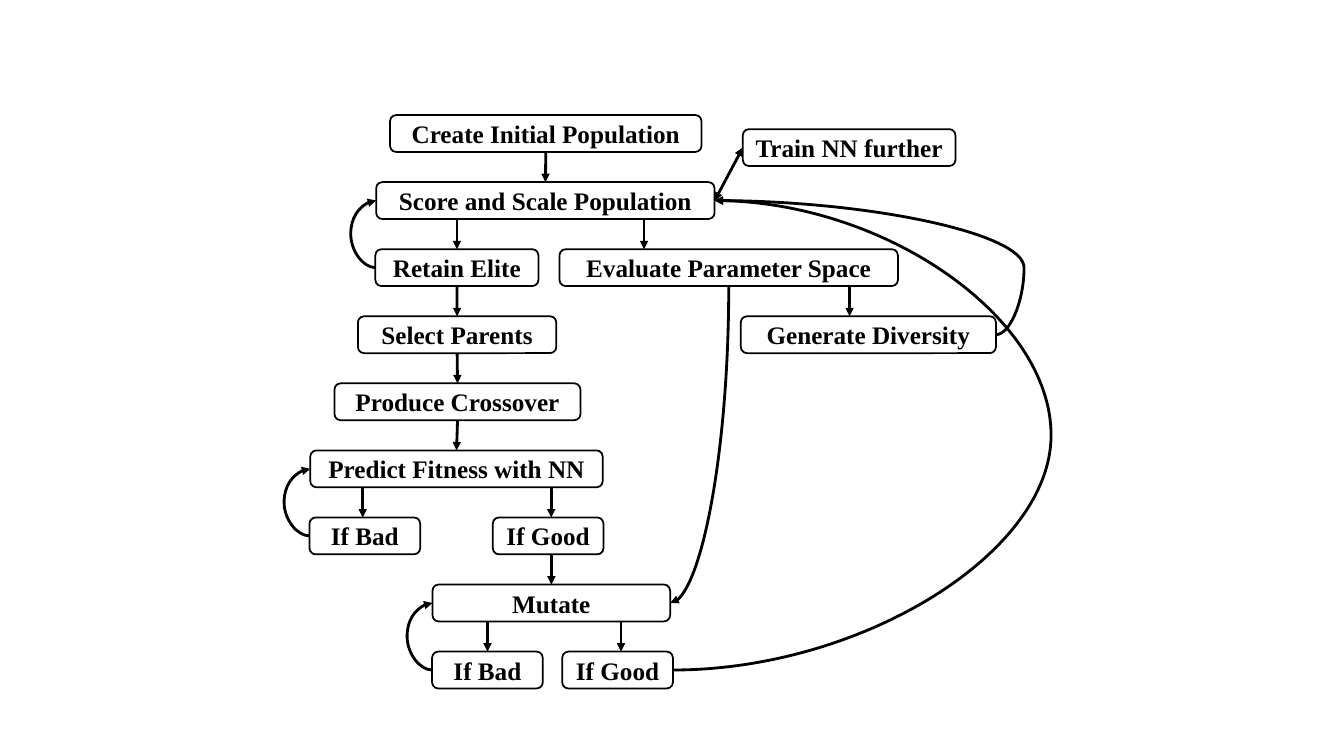
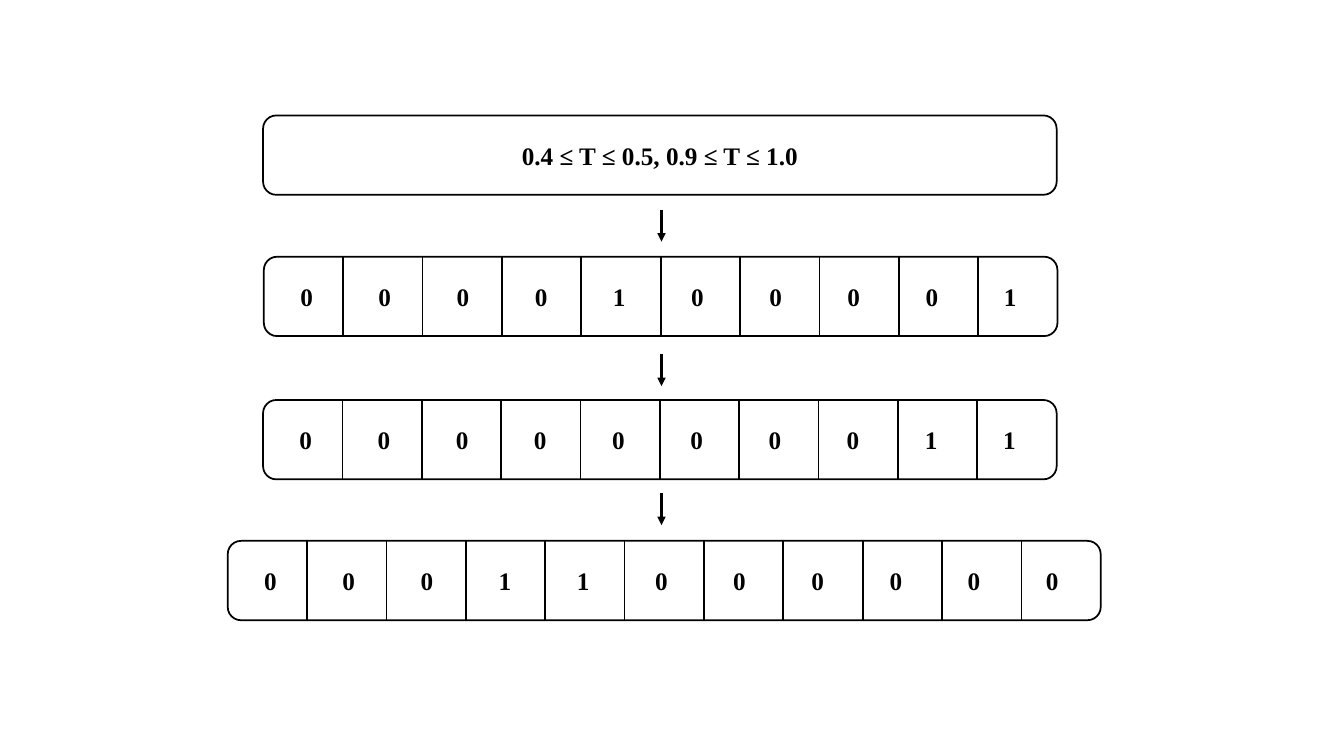
from dataclasses import dataclass
from typing import Any, Optional

from lxml import etree
from pptx import Presentation
from pptx.dml.color import RGBColor
from pptx.enum.shapes import MSO_CONNECTOR, MSO_SHAPE
from pptx.enum.text import MSO_ANCHOR, PP_ALIGN
from pptx.oxml.ns import qn
from pptx.util import Cm, Pt

COLORS = {"ink": "000000", "paper": "FFFFFF"}
FONT = "Times New Roman"
FONT_SIZE = 18
BOX_LINE = 1.25
ARROW_LINE = 2

STRAIGHT, CURVE = MSO_CONNECTOR.STRAIGHT, MSO_CONNECTOR.CURVE
ROUNDED = MSO_SHAPE.ROUNDED_RECTANGLE
CENTER, LEFT_ALIGNED = PP_ALIGN.CENTER, PP_ALIGN.LEFT
MIDDLE = MSO_ANCHOR.MIDDLE
TOP, LEFT, BOTTOM, RIGHT = range(4)

# Flow chart grid, in cm
FIRST_ROW = 2.9
ROW_PITCH = 1.69
BOX_HEIGHT = 0.93
JOIN_TOLERANCE = 0.03

# Gene strips, in cm
CELL = 2
DIGIT_START = 0.73
DIGIT_PITCH = 1.97
STEP_X = 16.67
STEP_LENGTH = 0.81


@dataclass(frozen=True)
class Box:
    text: str
    row: float
    left: float
    width: float

    @property
    def top(self) -> float:
        return FIRST_ROW + self.row * ROW_PITCH

    @property
    def center(self) -> float:
        return self.left + self.width / 2

    def side(self, site: int) -> tuple[float, float]:
        """Middle of one side, numbered like the connection sites."""
        middle = self.top + BOX_HEIGHT / 2
        return {
            TOP: (self.center, self.top),
            LEFT: (self.left, middle),
            BOTTOM: (self.center, self.top + BOX_HEIGHT),
            RIGHT: (self.left + self.width, middle),
        }[site]


@dataclass(frozen=True)
class Down:
    """Arrow to the row below; without x it meets the middle of the target."""
    start: str
    end: str
    x: Optional[float] = None


@dataclass(frozen=True)
class Loop:
    """Curve that leaves and returns on the same side, bulging out to x = via."""
    start: str
    end: str
    site: int
    via: float


@dataclass(frozen=True)
class Strip:
    digits: str
    left: float
    top: float


BOXES = {
    "create": Box("Create Initial Population", 0, 9.83, 7.85),
    "train": Box("Train NN further", 0.21, 18.72, 5.36),
    "score": Box("Score and Scale Population", 1, 9.48, 8.53),
    "retain": Box("Retain Elite", 2, 9.46, 4.11),
    "evaluate": Box("Evaluate Parameter Space", 2, 14.1, 8.53),
    "select": Box("Select Parents", 3, 9.02, 5),
    "diversity": Box("Generate Diversity", 3, 18.67, 6.43),
    "crossover": Box("Produce Crossover", 4, 8.43, 6.2),
    "predict": Box("Predict Fitness with NN", 5, 7.82, 7.37),
    "bad fitness": Box("If Bad", 6, 7.8, 2.79),
    "good fitness": Box("If Good", 6, 12.42, 2.79),
    "mutate": Box("Mutate", 7, 10.9, 5.99),
    "bad mutant": Box("If Bad", 8, 10.89, 2.79),
    "good mutant": Box("If Good", 8, 14.17, 2.79),
}

DOWNS = [
    Down("create", "score"),
    Down("score", "retain"),
    Down("score", "evaluate", 16.23),
    Down("evaluate", "diversity", 21.41),
    Down("retain", "select"),
    Down("select", "crossover"),
    Down("crossover", "predict"),
    Down("predict", "bad fitness", 9.14),
    Down("predict", "good fitness", 13.89),
    Down("good fitness", "mutate"),
    Down("mutate", "bad mutant"),
    Down("mutate", "good mutant", 15.65),
]

LOOPS = [
    Loop("retain", "score", LEFT, 8.84),
    Loop("bad fitness", "predict", LEFT, 7.16),
    Loop("bad mutant", "mutate", LEFT, 10.26),
    Loop("good mutant", "score", RIGHT, 26.49),
    Loop("diversity", "score", RIGHT, 25.81),
]

RULE = "0.4 ≤ T ≤ 0.5, 0.9 ≤ T ≤ 1.0"
RULE_AT = (6.63, 2.91)
STRIPS = [
    Strip("0000100001", 6.65, 6.47),
    Strip("0000000011", 6.63, 10.08),
    Strip("00011000000", 5.74, 13.63),
]
STEP_TOPS = [5.28, 8.92, 12.42]


def rgb(name: str) -> RGBColor:
    return RGBColor.from_string(COLORS[name])


def add_box(shapes: Any, text: str, left: float, top: float, width: float,
            height: float, align: Any = CENTER) -> Any:
    sp = shapes.add_shape(ROUNDED, Cm(left), Cm(top), Cm(width), Cm(height))
    sp.shadow.inherit = False
    sp.fill.solid()
    sp.fill.fore_color.rgb = rgb("paper")
    sp.line.color.rgb = rgb("ink")
    sp.line.width = Pt(BOX_LINE)
    tf = sp.text_frame
    tf.word_wrap = align != CENTER
    tf.vertical_anchor = MIDDLE
    p = tf.paragraphs[0]
    p.text = text
    p.alignment = align
    for r in p.runs:
        r.font.name = FONT
        r.font.size = Pt(FONT_SIZE)
        r.font.bold = True
        r.font.color.rgb = rgb("ink")
    return sp


def add_line(shapes: Any, start: tuple[float, float], end: tuple[float, float],
             width: float = ARROW_LINE, kind: Any = STRAIGHT,
             heads: tuple[str, ...] = ("tailEnd",)) -> Any:
    line = shapes.add_connector(kind, *(Cm(v) for v in (*start, *end)))
    line.line.color.rgb = rgb("ink")
    line.line.width = Pt(width)
    ln = line.line._get_or_add_ln()
    for head in heads:
        etree.SubElement(ln, qn(f"a:{head}")).set("type", "triangle")
    etree.SubElement(line._element.spPr, qn("a:effectLst"))
    return line


def add_down(shapes: Any, drawn: dict[str, Any], down: Down) -> None:
    start, end = BOXES[down.start], BOXES[down.end]
    x = end.center if down.x is None else down.x
    line = add_line(shapes, (x, start.side(BOTTOM)[1]), (x, end.top))
    if abs(start.center - x) <= JOIN_TOLERANCE:
        line.begin_connect(drawn[down.start], BOTTOM)
    if abs(end.center - x) <= JOIN_TOLERANCE:
        line.end_connect(drawn[down.end], TOP)


def add_joined(shapes: Any, drawn: dict[str, Any], start: str, start_site: int,
               end: str, end_site: int, **style: Any) -> Any:
    line = add_line(shapes, BOXES[start].side(start_site),
                    BOXES[end].side(end_site), **style)
    line.begin_connect(drawn[start], start_site)
    line.end_connect(drawn[end], end_site)
    return line


def add_loop(shapes: Any, drawn: dict[str, Any], loop: Loop) -> None:
    line = add_joined(shapes, drawn, loop.start, loop.site, loop.end, loop.site,
                      kind=CURVE)
    bulge = (Cm(loop.via) - line.begin_x) / (line.end_x - line.begin_x)
    guides = line._element.spPr.prstGeom.get_or_add_avLst()
    guide = etree.SubElement(guides, qn("a:gd"))
    guide.set("name", "adj1")
    guide.set("fmla", f"val {round(bulge * 100000)}")


def add_strip(shapes: Any, strip: Strip) -> None:
    """Draw a row of gene cells, its digits set on centred tab stops."""
    group = shapes.add_group_shape().shapes
    count = len(strip.digits)
    text = "".join(f"\t{digit}" for digit in strip.digits)
    sp = add_box(group, text, strip.left, strip.top, count * CELL, CELL,
                 LEFT_ALIGNED)
    p_pr = sp.text_frame.paragraphs[0]._p.get_or_add_pPr()
    tabs = etree.SubElement(p_pr, qn("a:tabLst"))
    for i in range(count):
        tab = etree.SubElement(tabs, qn("a:tab"))
        tab.set("pos", str(Cm(DIGIT_START + i * DIGIT_PITCH)))
        tab.set("algn", "ctr")
    for i in range(1, count):
        x = strip.left + i * CELL
        add_line(group, (x, strip.top), (x, strip.top + CELL), BOX_LINE, heads=())


def draw_flow_chart(shapes: Any) -> None:
    drawn = {name: add_box(shapes, b.text, b.left, b.top, b.width, BOX_HEIGHT)
             for name, b in BOXES.items()}
    for down in DOWNS:
        add_down(shapes, drawn, down)
    for loop in LOOPS:
        add_loop(shapes, drawn, loop)
    quarter = add_joined(shapes, drawn, "mutate", RIGHT, "evaluate", BOTTOM,
                         kind=CURVE, heads=("headEnd",))
    quarter._element.spPr.prstGeom.set("prst", "curvedConnector2")
    for width, heads in ((ARROW_LINE, ("tailEnd",)),
                         (0.75, ("headEnd", "tailEnd"))):
        add_joined(shapes, drawn, "score", RIGHT, "train", LEFT,
                   width=width, heads=heads)


def draw_gene_strips(shapes: Any) -> None:
    add_box(shapes, RULE, *RULE_AT, 10 * CELL, CELL)
    for strip in STRIPS:
        add_strip(shapes, strip)
    for top in STEP_TOPS:
        add_line(shapes, (STEP_X, top), (STEP_X, top + STEP_LENGTH))


def main() -> None:
    prs = Presentation()
    prs.slide_width, prs.slide_height = Cm(33.87), Cm(19.05)
    blank = prs.slide_layouts[6]
    for draw in (draw_flow_chart, draw_gene_strips):
        draw(prs.slides.add_slide(blank).shapes)
    prs.save("out.pptx")


if __name__ == "__main__":
    main()
